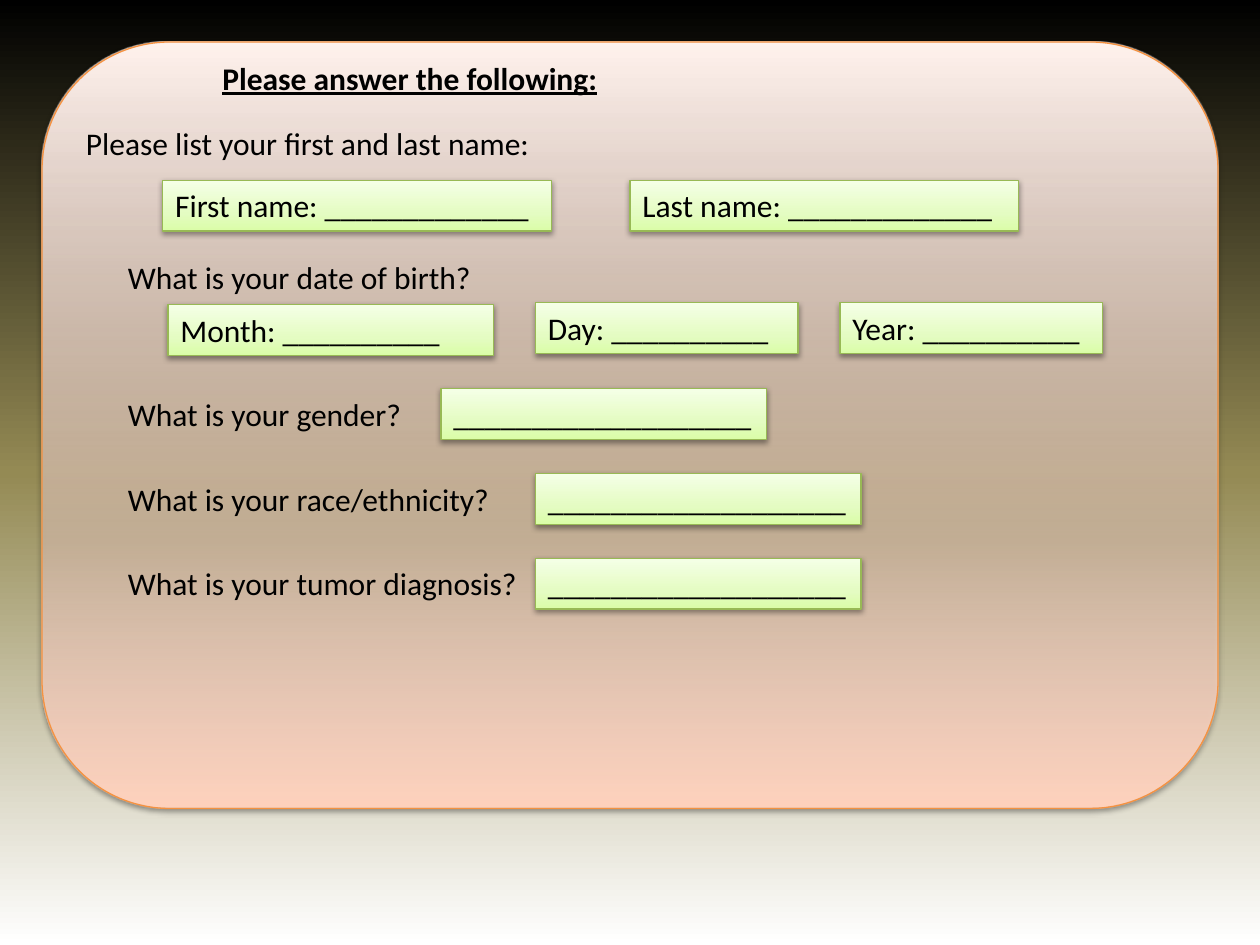
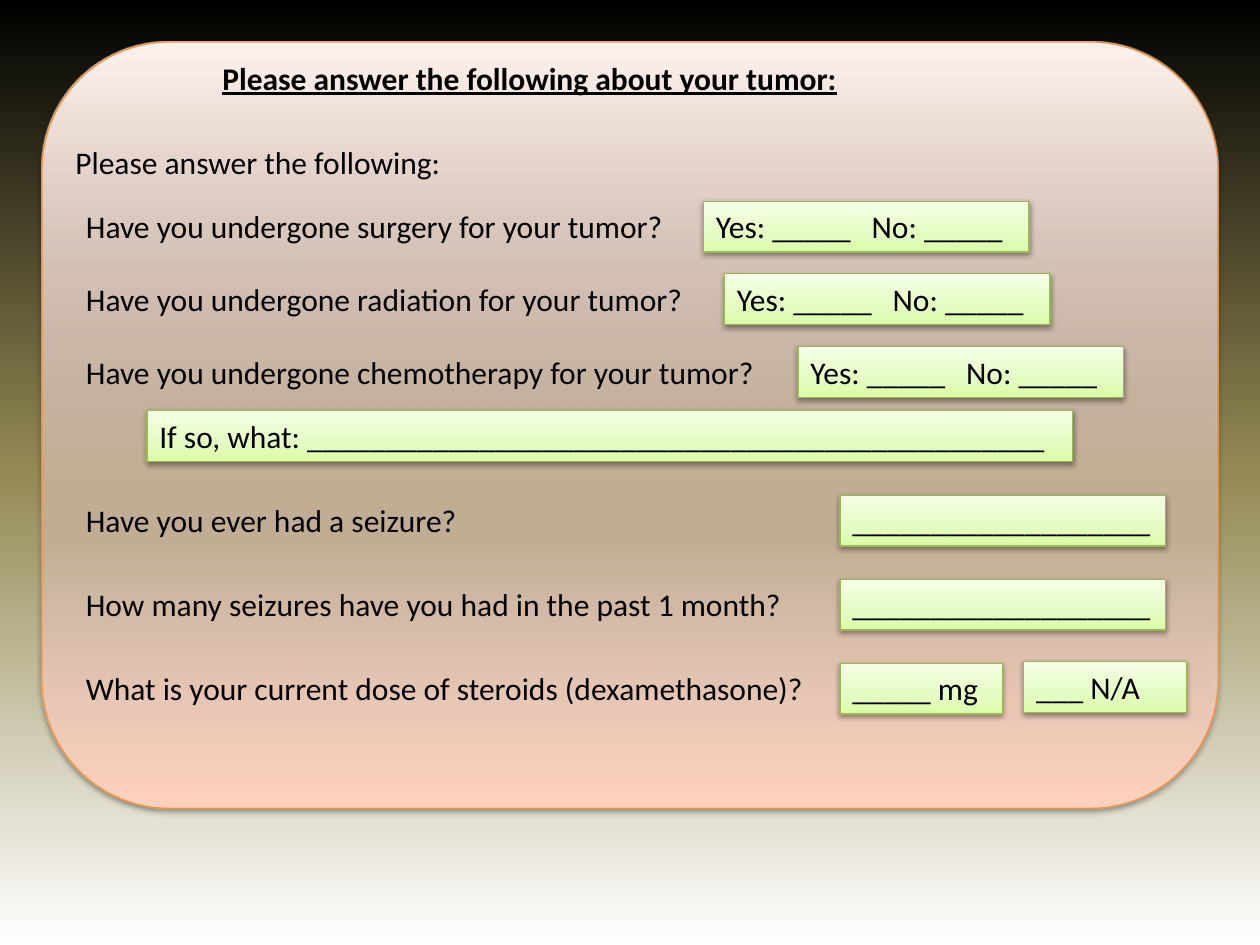
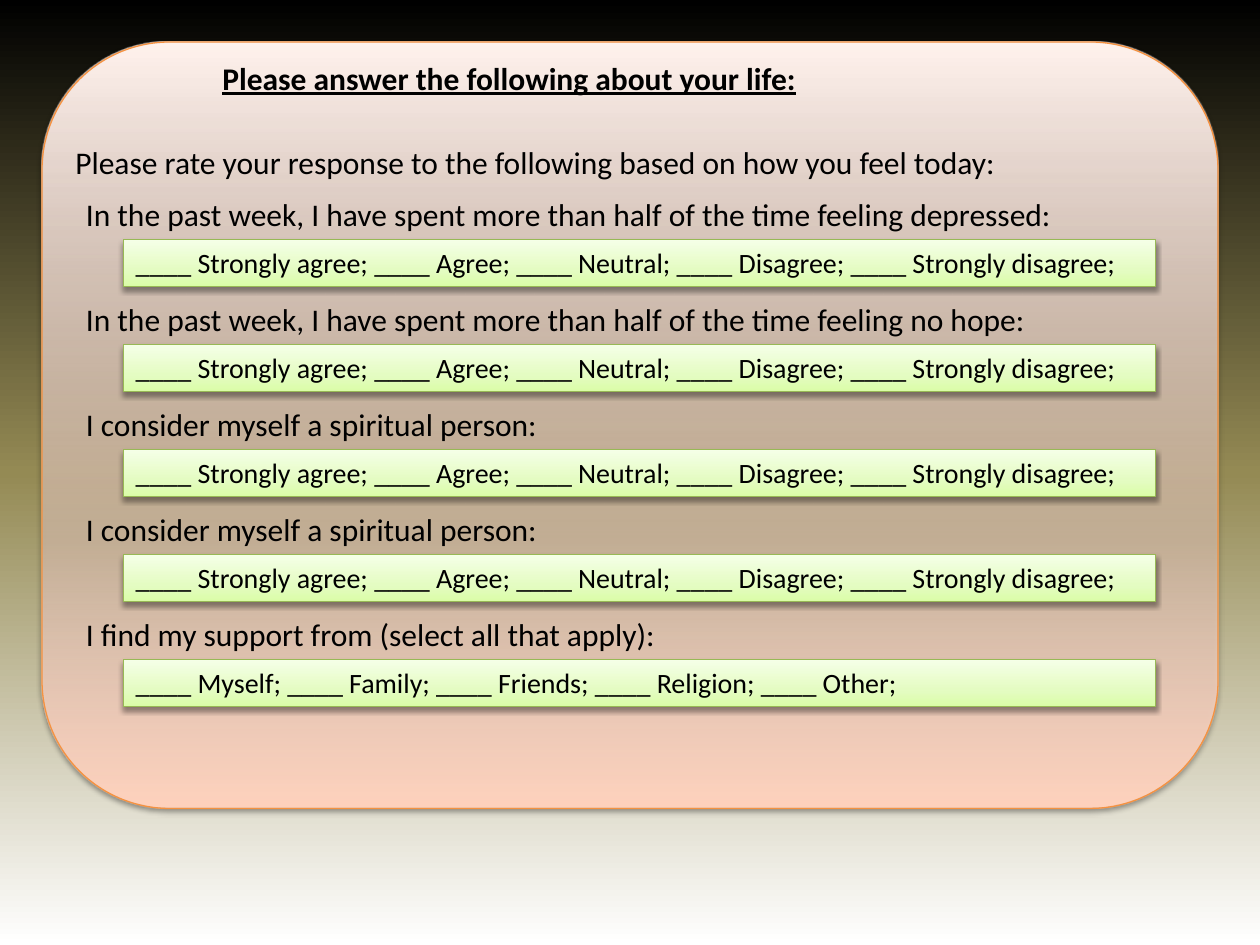
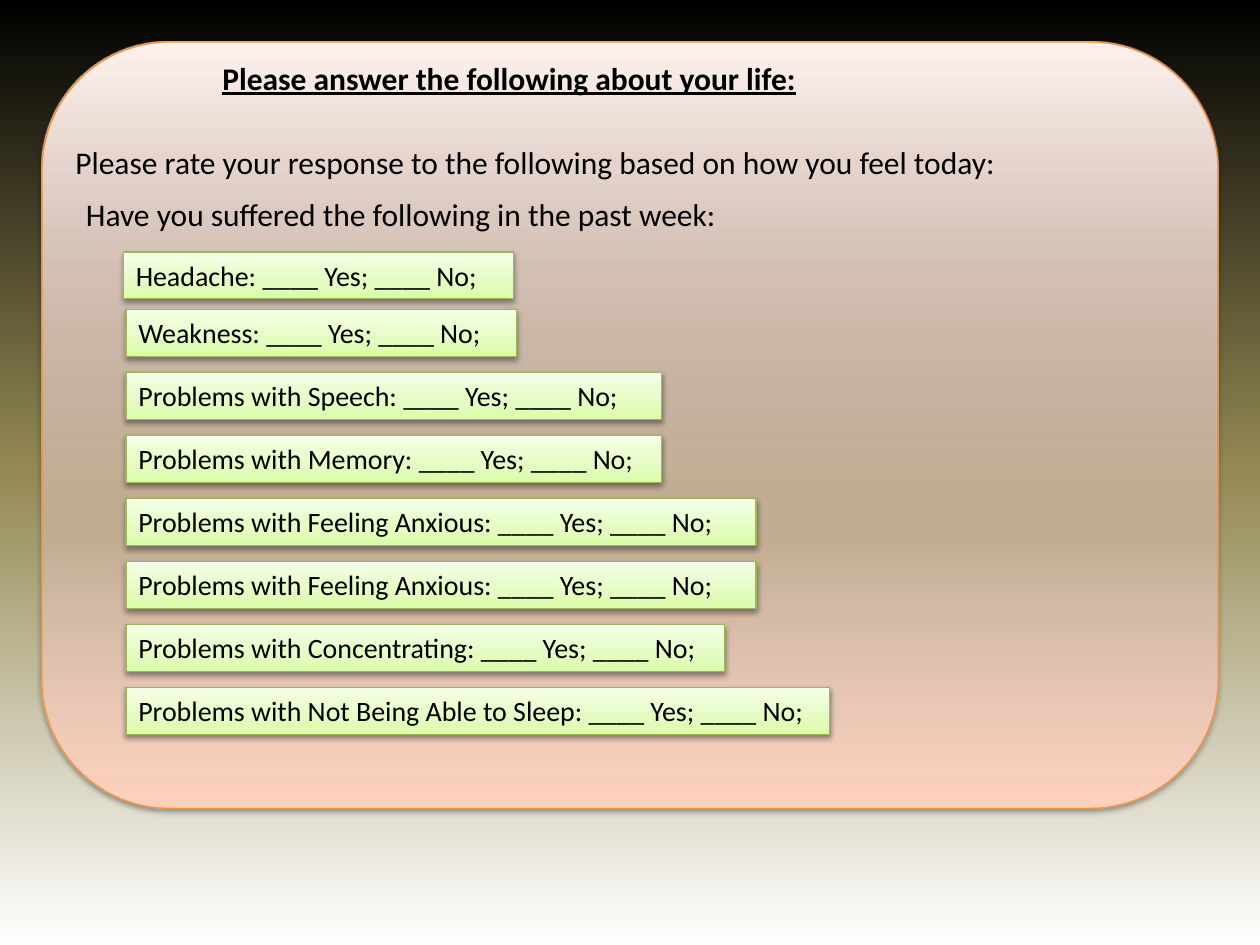
from collections import namedtuple
from dataclasses import dataclass

from lxml.etree import SubElement
from pptx import Presentation
from pptx.dml.color import RGBColor
from pptx.enum.shapes import MSO_SHAPE
from pptx.enum.text import MSO_ANCHOR, MSO_AUTO_SIZE, PP_ALIGN
from pptx.oxml.ns import qn
from pptx.util import Pt

Box = namedtuple("Box", "x y w h")


@dataclass(frozen=True)
class Theme:
    """Colours, gradients, font and sizes shared by all slides."""
    font: str = "Calibri"
    ink: str = "000000"
    body: int = 18
    small: int = 16
    rule: float = 0.75
    tall: float = 29.08
    short: float = 26.66
    edge: str = "F69240"
    rim: str = "98B955"
    back: tuple = ((0, "000000", 100), (50, "948A54", 100), (100, "FFFFFF", 100))
    peach: tuple = ((0, "FFD2BD", 100), (35, "FFDED0", 50), (100, "FFF2ED", 100))
    lime: tuple = ((0, "DAFDA7", 100), (35, "E4FCC2", 100), (100, "F5FFE7", 100))


THEME = Theme()
PANEL = Box(24, 24, 672, 438)
BLANK = "_" * 19
CHOICE = "Yes: _____\tNo: _____"
SCALE = ("Strongly agree", "Agree", "Neutral", "Disagree", "Strongly disagree")
SUPPORT = ("Myself", "Family", "Friends", "Religion", "Other")


def blend(owner, fill, stops, angle):
    """Give the owner's fill a linear gradient."""
    fill.gradient()
    fill.gradient_angle = angle
    group = owner.element.find(".//" + qn("a:gsLst"))
    group.clear()
    for place, tint, alpha in stops:
        stop = SubElement(group, qn("a:gs"), pos=str(place * 1000))
        color = SubElement(stop, qn("a:srgbClr"), val=tint)
        if alpha < 100:
            SubElement(color, qn("a:alpha"), val=str(alpha * 1000))


def shade(shape):
    """Add the soft shadow that falls below a shape."""
    shape.shadow.inherit = False
    effects = shape.element.spPr.find(qn("a:effectLst"))
    outer = SubElement(effects, qn("a:outerShdw"), blurRad=str(Pt(3.15)),
                       dist=str(Pt(1.57)), dir="5400000", rotWithShape="0")
    color = SubElement(outer, qn("a:srgbClr"), val=THEME.ink)
    SubElement(color, qn("a:alpha"), val="38000")


def block(slide, kind, box, stops, line):
    """Draw a gradient shape with a thin outline and a shadow."""
    shape = slide.shapes.add_shape(kind, *map(Pt, box))
    blend(shape, shape.fill, stops, 90)
    shape.line.color.rgb = RGBColor.from_string(line)
    shape.line.width = Pt(THEME.rule)
    shade(shape)
    return shape


def write(shape, text, size=THEME.body, bold=None, under=None, tab=None):
    """Put one formatted paragraph in a shape."""
    frame = shape.text_frame
    frame.word_wrap = True
    frame.auto_size = MSO_AUTO_SIZE.SHAPE_TO_FIT_TEXT
    frame.vertical_anchor = MSO_ANCHOR.TOP
    para = frame.paragraphs[0]
    para.alignment = PP_ALIGN.LEFT
    run = para.add_run()
    run.text = text
    font = run.font
    font.name, font.size = THEME.font, Pt(size)
    font.bold, font.underline = bold, under
    font.color.rgb = RGBColor.from_string(THEME.ink)
    if tab:
        tabs = SubElement(para._p.get_or_add_pPr(), qn("a:tabLst"))
        SubElement(tabs, qn("a:tab"), pos=str(Pt(tab)), algn="l")


def prompt(slide, box, x, y, text, w=444, **style):
    """Place a line of plain text inside the box."""
    label = slide.shapes.add_textbox(
        *map(Pt, (box.x + x, box.y + y, w, THEME.tall)))
    write(label, text, **style)


def field(slide, box, x, y, w, text, size=THEME.body, tab=None):
    """Place a green answer field inside the box."""
    high = THEME.tall if size == THEME.body else THEME.short
    area = Box(box.x + x, box.y + y, w, high)
    shape = block(slide, MSO_SHAPE.RECTANGLE, area, THEME.lime, THEME.rim)
    write(shape, text, size=size, tab=tab)


def panel(deck, box, title):
    """Add a slide with the rounded panel and its title."""
    slide = deck.slides.add_slide(deck.slide_layouts[6])
    block(slide, MSO_SHAPE.ROUNDED_RECTANGLE, box, THEME.peach, THEME.edge)
    prompt(slide, box, 96, 6, title, bold=True, under=True)
    return slide


def person(slide, box):
    """Ask for name, birth date and basic facts."""
    prompt(slide, box, 18, 43.5, "Please list your first and last name:")
    for x, name in ((69, "First"), (336, "Last")):
        field(slide, box, x, 79, 222, f"{name} name: {'_' * 13}")
    prompt(slide, box, 42, 120, "What is your date of birth?")
    for x, y, w, name in ((72, 150, 186, "Month"), (282, 149, 150, "Day"),
                          (456, 149, 150, "Year")):
        field(slide, box, x, y, w, f"{name}: {'_' * 10}")
    facts = (("gender", 228), ("race/ethnicity", 282), ("tumor diagnosis", 282))
    for row, (fact, x) in enumerate(facts):
        y = 198 + 48.5 * row
        prompt(slide, box, 42, y, f"What is your {fact}?")
        field(slide, box, x, y, 186, BLANK)


def tumor(slide, box):
    """Ask about treatment, seizures and steroids."""
    prompt(slide, box, 12, 54, "Please answer the following:")
    cares = (("surgery", 378), ("radiation", 390), ("chemotherapy", 432))
    for row, (care, x) in enumerate(cares):
        y = 91 + 41.5 * row
        prompt(slide, box, 18, y, f"Have you undergone {care} for your tumor?")
        field(slide, box, x, y, 186, CHOICE, tab=89)
    field(slide, box, 60, 210.5, 529, f"If so, what: {'_' * 47}")
    asks = (("Have you ever had a seizure?", 186, BLANK),
            ("How many seizures have you had in the past 1 month?", 186, BLANK),
            ("What is your current dose of steroids (dexamethasone)?", 93,
             "_____ mg"))
    for row, (ask, w, reply) in enumerate(asks):
        y = 259 + 48 * row
        prompt(slide, box, 18, y, ask, w=426)
        field(slide, box, 456, y, w, reply)
    field(slide, box, 561, 354, 93, "___ N/A")


def lead(slide, box):
    """Place the line that opens both rating slides."""
    prompt(slide, box, 12, 54, "Please rate your response to the following "
           "based on how you feel today:", w=558)


def mood(slide, box):
    """Ask for ratings of mood, spirit and support."""
    lead(slide, box)
    week = "In the past week, I have spent more than half of the time feeling "
    faith = "I consider myself a spiritual person:"
    rows = ((week + "depressed:", SCALE), (week + "no hope:", SCALE),
            (faith, SCALE), (faith, SCALE),
            ("I find my support from (select all that apply):", SUPPORT))
    for row, (ask, words) in enumerate(rows):
        y = 84 + 60 * row
        prompt(slide, box, 18, y, ask, w=583)
        reply = " ".join(f"____ {word};" for word in words)
        field(slide, box, 46.5, y + 29, 590, reply, size=THEME.small)


def signs(slide, box):
    """Ask which symptoms were felt in the past week."""
    lead(slide, box)
    prompt(slide, box, 18, 84,
           "Have you suffered the following in the past week:", w=583)
    rows = [(46.5, 120, 223, "Headache")]
    later = ((223, "Weakness"), (306, "Problems with Speech"),
             (306, "Problems with Memory"),
             (360, "Problems with Feeling Anxious"),
             (360, "Problems with Feeling Anxious"),
             (342, "Problems with Concentrating"),
             (402, "Problems with Not Being Able to Sleep"))
    rows += [(48, 153 + 36 * row, w, name)
             for row, (w, name) in enumerate(later)]
    for x, y, w, name in rows:
        field(slide, box, x, y, w, f"{name}: ____ Yes; ____ No;",
              size=THEME.small)


def main():
    """Build and save the whole survey."""
    deck = Presentation()
    deck.slide_width, deck.slide_height = Pt(720), Pt(540)
    master = deck.slide_master
    blend(master, master.background.fill, THEME.back, 270)
    base = "Please answer the following"
    pages = ((":", person), (" about your tumor:", tumor),
             (" about your life:", mood), (" about your life:", signs))
    for tail, build in pages:
        build(panel(deck, PANEL, base + tail), PANEL)
    deck.save("out.pptx")


main()
